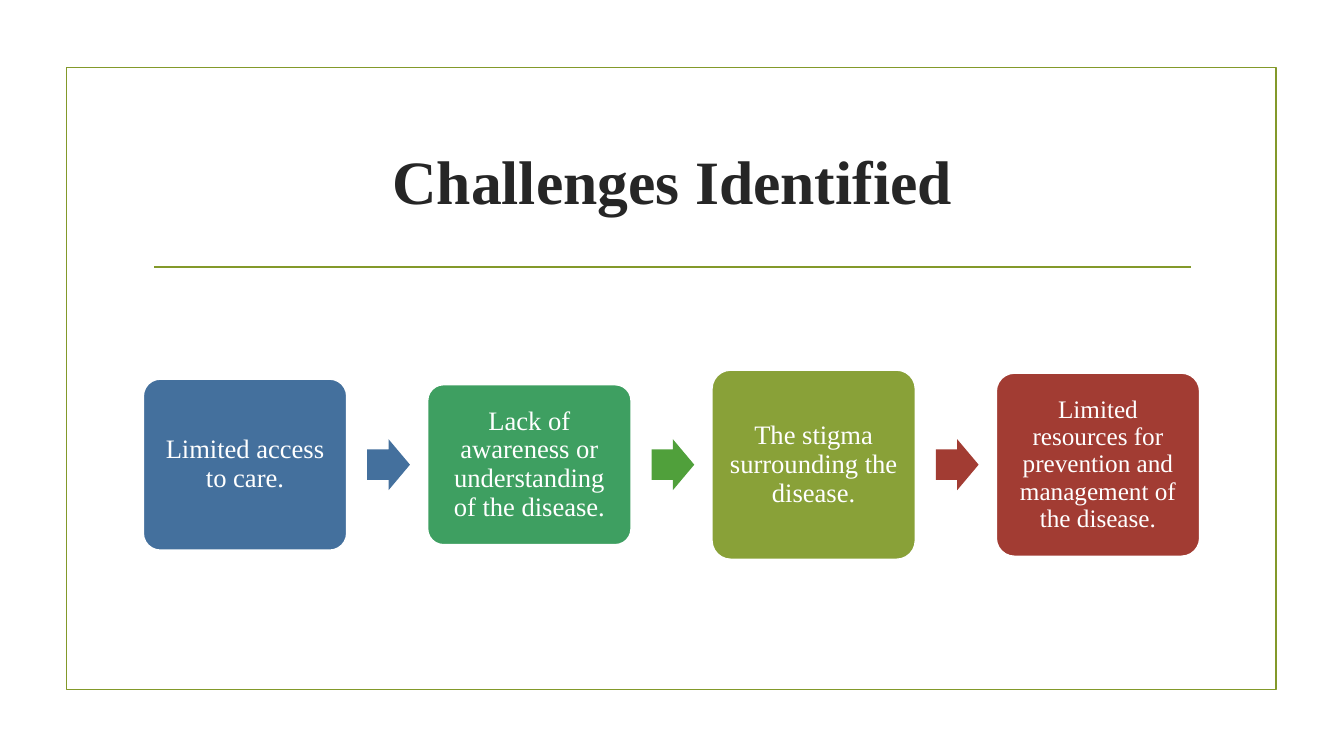
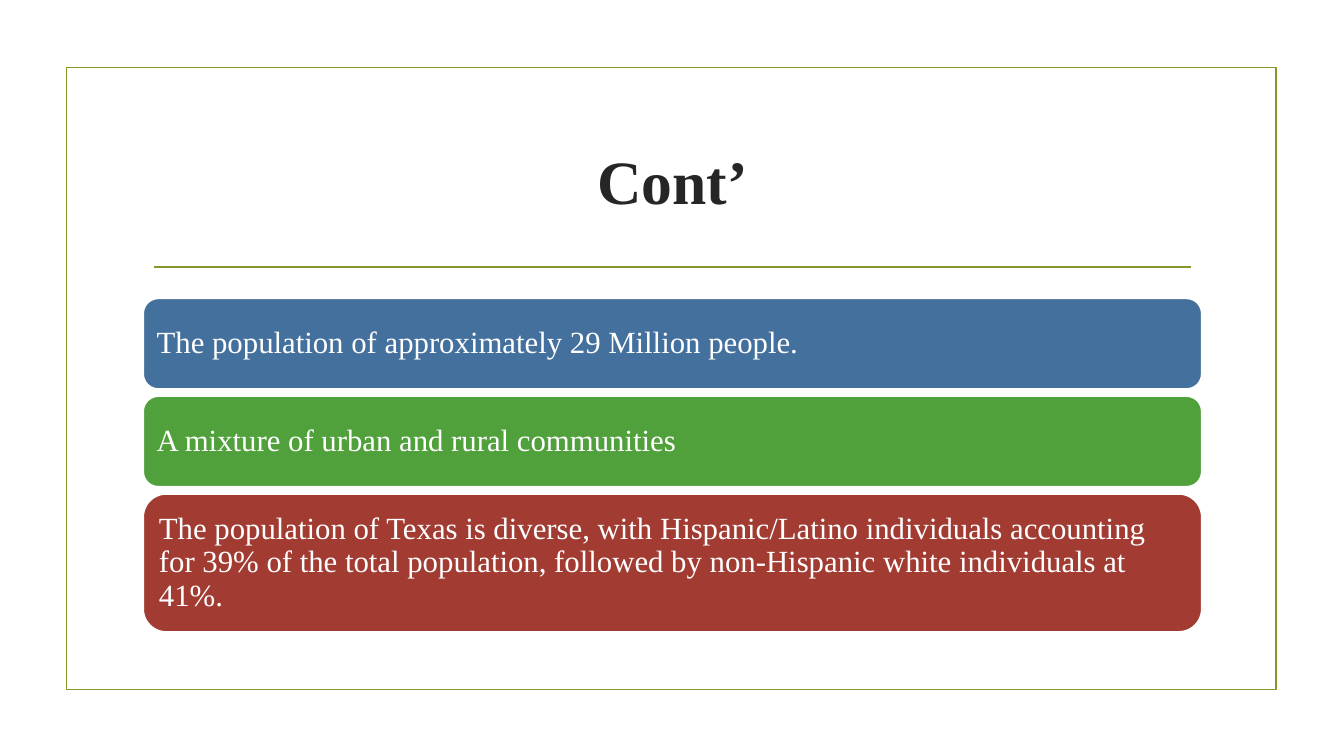
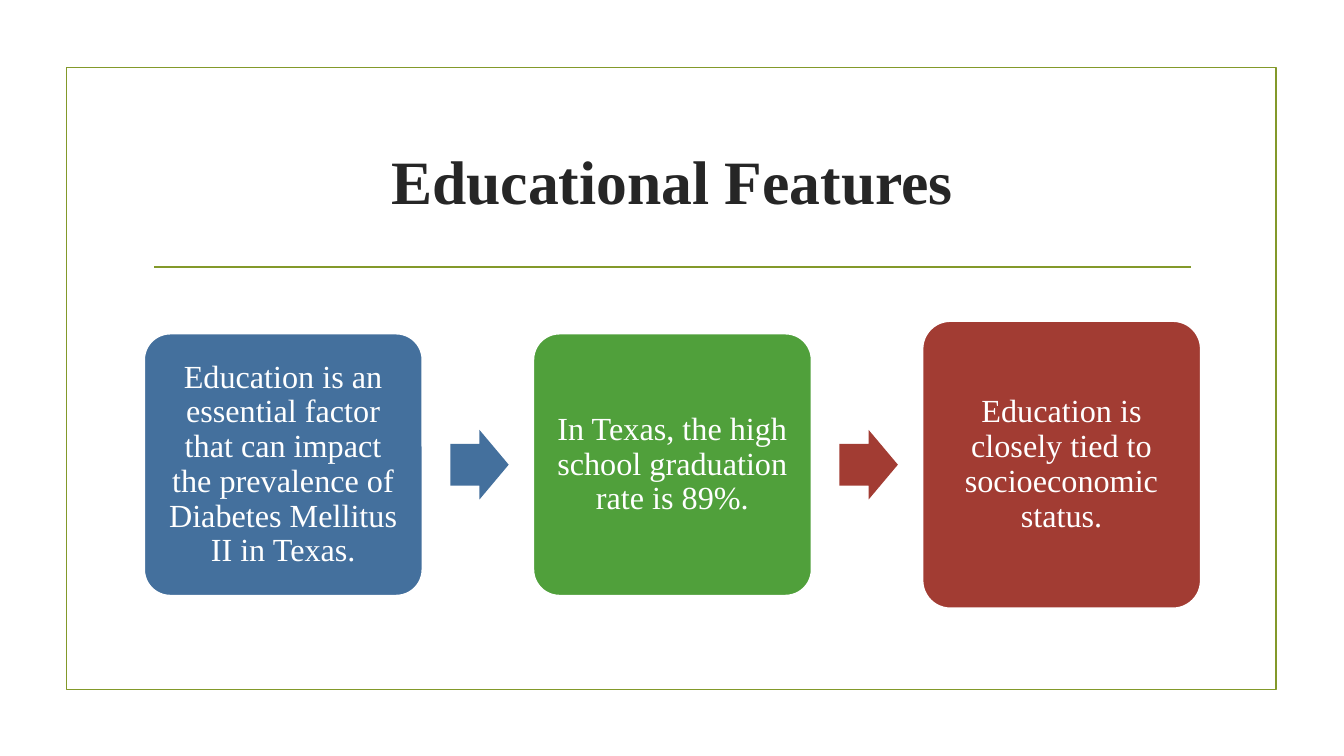
"""Build three framed slides: two box flows and one stacked list."""
from dataclasses import dataclass

from lxml.etree import SubElement
from pptx import Presentation
from pptx.dml.color import RGBColor
from pptx.enum.shapes import MSO_CONNECTOR, MSO_SHAPE
from pptx.enum.text import MSO_ANCHOR, PP_ALIGN
from pptx.oxml.ns import qn
from pptx.shapes.autoshape import Shape
from pptx.slide import Slide
from pptx.text.text import TextFrame
from pptx.util import Inches, Pt


@dataclass(frozen=True)
class Theme:
    font: str = "Times New Roman"
    title_size: int = 44
    list_size: int = 22
    line_width: float = 1.25
    ink: str = "262626"
    olive: str = "83992A"
    white: str = "FFFFFF"
    blue: str = "44709D"
    teal: str = "3E9F61"
    green: str = "50A03B"
    moss: str = "89A138"
    red: str = "A23C33"


@dataclass(frozen=True)
class Box:
    text: str
    color: str
    height: float
    size: int
    inset: float


@dataclass(frozen=True)
class Flow:
    left: float
    width: float
    pitch: float
    boxes: tuple[Box, ...]
    arrows: tuple[str, ...]


T = Theme()
LEFT, WIDTH = 1.42, 10.5
FLOW_MIDDLE = 4.61
LIST_TOP, LIST_GAP = 2.96, 0.07

CHALLENGES = Flow(LEFT, 2.02, 2.82, (
    Box("Limited access to care.", T.blue, 1.7, 19, 0.08),
    Box("Lack of awareness or understanding of the disease.", T.teal, 1.59, 19, 0.08),
    Box("The stigma surrounding the disease.", T.moss, 1.88, 19, 0.08),
    Box("Limited resources for prevention and management of the disease.",
        T.red, 1.82, 18, 0.07),
), (T.blue, T.green, T.red))

POPULATION = (
    Box("The population of approximately 29 Million people.",
        T.blue, 0.9, T.list_size, 0.09),
    Box("A mixture of urban and rural communities", T.green, 0.9, T.list_size, 0.09),
    Box("The population of Texas is diverse, with Hispanic/Latino individuals "
        "accounting for 39% of the total population, followed by non-Hispanic "
        "white individuals at 41%.", T.red, 1.37, T.list_size, 0.09),
)

EDUCATION = Flow(1.43, 2.76, 3.86, (
    Box("Education is an essential factor that can impact the prevalence of "
        "Diabetes Mellitus II in Texas.", T.blue, 2.6, 23, 0.1),
    Box("In Texas, the high school graduation rate is 89%.", T.green, 2.6, 23, 0.1),
    Box("Education is closely tied to socioeconomic status.", T.red, 2.85, 23, 0.1),
), (T.blue, T.red))


def rgb(color: str) -> RGBColor:
    return RGBColor.from_string(color)


def write(tf: TextFrame, text: str, size: int, color: str,
          align: PP_ALIGN, bold: bool = False) -> None:
    tf.word_wrap = True
    tf.vertical_anchor = MSO_ANCHOR.MIDDLE
    p = tf.paragraphs[0]
    p.text = text
    p.alignment = align
    p.font.name, p.font.size, p.font.bold = T.font, Pt(size), bold
    p.font.color.rgb = rgb(color)


def add_shape(s: Slide, kind: MSO_SHAPE, x: float, y: float, w: float, h: float,
              fill: str | None = None, line: str | None = None) -> Shape:
    sp = s.shapes.add_shape(kind, Inches(x), Inches(y), Inches(w), Inches(h))
    sp.shadow.inherit = False
    if fill:
        sp.fill.solid()
        sp.fill.fore_color.rgb = rgb(fill)
    else:
        sp.fill.background()
    if line:
        sp.line.color.rgb = rgb(line)
        sp.line.width = Pt(T.line_width)
    else:
        sp.line.fill.background()
    return sp


def add_box(s: Slide, box: Box, x: float, y: float, w: float,
            align: PP_ALIGN) -> Shape:
    sp = add_shape(s, MSO_SHAPE.ROUNDED_RECTANGLE, x, y, w, box.height,
                   box.color, T.white)
    tf = sp.text_frame
    tf.margin_left = tf.margin_right = Inches(box.inset)
    tf.margin_top = tf.margin_bottom = Inches(box.inset)
    write(tf, box.text, box.size, T.white, align)
    tf.paragraphs[0].line_spacing = 0.9
    return sp


def add_flow(s: Slide, flow: Flow) -> None:
    for i, box in enumerate(flow.boxes):
        sp = add_box(s, box, flow.left + i * flow.pitch,
                     FLOW_MIDDLE - box.height / 2, flow.width, PP_ALIGN.CENTER)
        sp.adjustments[0] = 0.1
    w, h = flow.width * 0.21, flow.width * 0.25
    for i, color in enumerate(flow.arrows):
        x = flow.left + i * flow.pitch + flow.width * 1.1
        sp = add_shape(s, MSO_SHAPE.RIGHT_ARROW, x, FLOW_MIDDLE - h / 2, w, h, color)
        sp.adjustments[0] = 0.6


def add_list(s: Slide, boxes: tuple[Box, ...]) -> None:
    y = LIST_TOP
    for box in boxes:
        add_box(s, box, LEFT, y, WIDTH, PP_ALIGN.LEFT)
        y += box.height + LIST_GAP


def add_slide(prs: Presentation, title: str) -> Slide:
    s = prs.slides.add_slide(prs.slide_layouts[6])
    add_shape(s, MSO_SHAPE.RECTANGLE, 0.66, 0.67, 12, 6.17, line=T.olive)
    rule = s.shapes.add_connector(MSO_CONNECTOR.STRAIGHT, Inches(1.53), Inches(2.65),
                                  Inches(11.81), Inches(2.65))
    rule.line.color.rgb = rgb(T.olive)
    rule.line.width = Pt(T.line_width)
    SubElement(rule._element.spPr, qn("a:effectLst"))
    tb = s.shapes.add_textbox(Inches(LEFT), Inches(1.07), Inches(WIDTH), Inches(1.43))
    write(tb.text_frame, title, T.title_size, T.ink, PP_ALIGN.CENTER, bold=True)
    return s


def main() -> None:
    prs = Presentation()
    prs.slide_width, prs.slide_height = Inches(13.33), Inches(7.5)
    add_flow(add_slide(prs, "Challenges Identified"), CHALLENGES)
    add_list(add_slide(prs, "Cont’"), POPULATION)
    add_flow(add_slide(prs, "Educational Features"), EDUCATION)
    prs.save("out.pptx")


if __name__ == "__main__":
    main()
